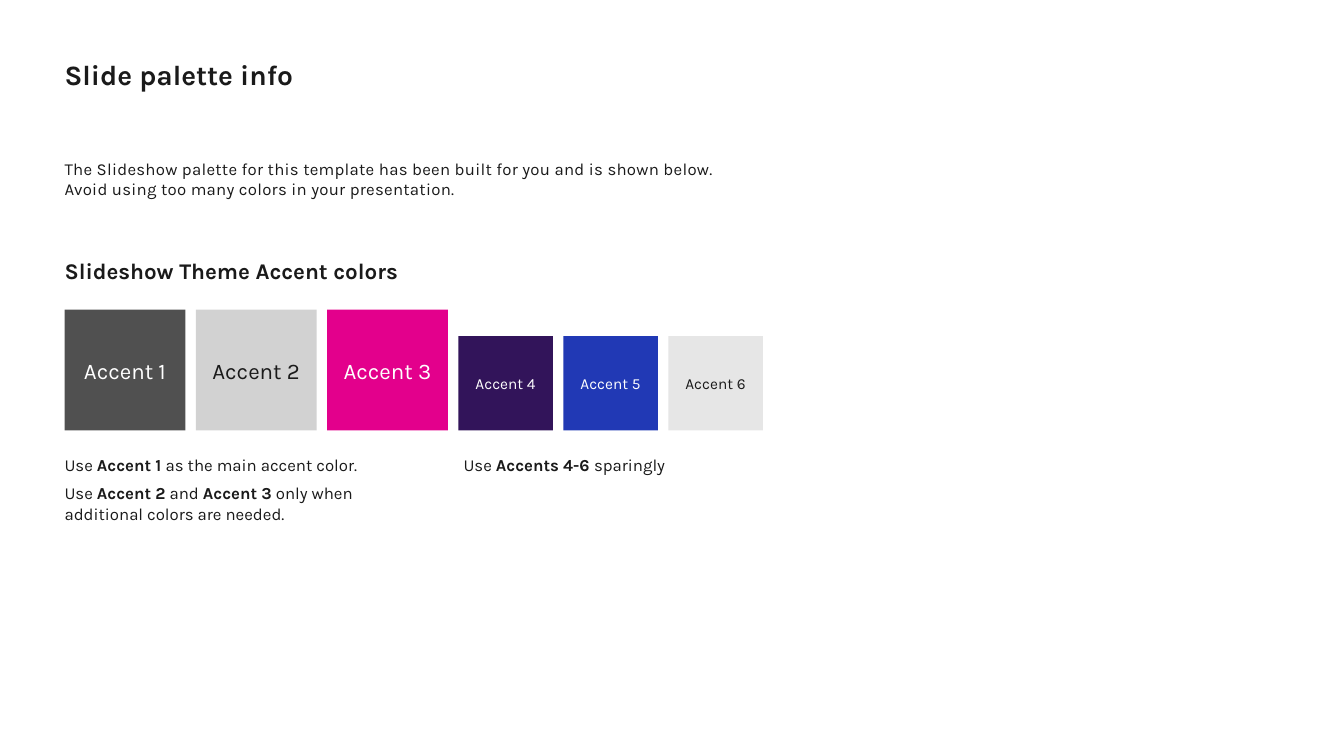
from dataclasses import dataclass

from pptx import Presentation
from pptx.dml.color import RGBColor
from pptx.enum.shapes import MSO_SHAPE
from pptx.enum.text import MSO_ANCHOR, MSO_AUTO_SIZE, PP_ALIGN
from pptx.util import Emu, Inches, Pt


@dataclass(frozen=True)
class Theme:
    """Colours, type sizes and the font of the deck."""

    font: str = "Karla"
    dark: str = "1A1A1A"
    light: str = "FFFFFF"
    accents: tuple = ("505050", "D2D2D2", "E3008C", "32145A", "2139B5", "E6E6E6")
    pale_accents: tuple = ("D2D2D2", "E6E6E6")
    title: int = 20
    heading: int = 16
    body: int = 12
    small: int = 11


class SlideBuilder:
    """Draws elements on one slide with a grid of 128 columns and 72 rows."""

    def __init__(self, presentation, theme):
        """Add a title-only slide and measure the grid."""
        self.theme = theme
        self.slide = presentation.slides.add_slide(presentation.slide_layouts[5])
        self.column = presentation.slide_width / 128
        self.row = presentation.slide_height / 72

    def box(self, left, top, width, height):
        """Turn grid columns and rows into slide lengths."""
        return (Emu(round(left * self.column)), Emu(round(top * self.row)),
                Emu(round(width * self.column)), Emu(round(height * self.row)))

    def fill_text(self, shape, lines, size, color, bold=False, align=PP_ALIGN.LEFT,
                  anchor=MSO_ANCHOR.TOP, autosize=MSO_AUTO_SIZE.SHAPE_TO_FIT_TEXT,
                  inset=(0, 0), gap=0, spacing=0):
        """Fill a shape with paragraphs whose parts between bars are bold."""
        frame = shape.text_frame
        frame_format = {"word_wrap": True, "auto_size": autosize,
                        "vertical_anchor": anchor, "margin_left": 0,
                        "margin_right": 0, "margin_top": Inches(inset[0]),
                        "margin_bottom": Inches(inset[1])}
        for name, value in frame_format.items():
            setattr(frame, name, value)
        for index, line in enumerate(lines):
            paragraph = frame.add_paragraph() if index else frame.paragraphs[0]
            paragraph.alignment = align
            paragraph.space_before = Pt(gap if index else 0)
            for part, text in enumerate(line.split("|")):
                for row, words in enumerate(text.split("\n")):
                    if row:
                        paragraph.add_line_break()
                    run = paragraph.add_run()
                    run.text = words
                    run_format = {"name": self.theme.font, "size": Pt(size),
                                  "bold": bold or part % 2 == 1}
                    for name, value in run_format.items():
                        setattr(run.font, name, value)
                    run.font.color.rgb = RGBColor.from_string(color)
                    if spacing:
                        run._r.get_or_add_rPr().set("spc", str(round(spacing * 100)))

    def title(self, text, *place):
        """Move and fill the title placeholder."""
        shape = self.slide.shapes.title
        for name, value in zip(("left", "top", "width", "height"), self.box(*place)):
            setattr(shape, name, value)
        self.fill_text(shape, [text], self.theme.title, self.theme.dark, True,
                       inset=(0.07, 0))

    def text(self, lines, place, size, **style):
        """Add a text box."""
        shape = self.slide.shapes.add_textbox(*self.box(*place))
        self.fill_text(shape, lines, size, self.theme.dark, **style)

    def swatch(self, label, fill, left, bottom, side, size):
        """Add a labelled colour square that stands on the bottom row."""
        shape = self.slide.shapes.add_shape(
            MSO_SHAPE.RECTANGLE, *self.box(left, bottom - side, side, side))
        shape.shadow.inherit = False
        shape.fill.solid()
        shape.fill.fore_color.rgb = RGBColor.from_string(fill)
        shape.line.fill.background()
        pale = fill in self.theme.pale_accents
        self.fill_text(shape, [label], size,
                       self.theme.dark if pale else self.theme.light,
                       align=PP_ALIGN.CENTER, anchor=MSO_ANCHOR.MIDDLE,
                       autosize=MSO_AUTO_SIZE.NONE, inset=(0.05, 0.05))


def main():
    """Build and save the palette slide."""
    presentation = Presentation()
    presentation.slide_width = Emu(12192000)
    presentation.slide_height = Inches(7.5)
    theme = Theme()
    builder = SlideBuilder(presentation, theme)

    margin, gap, base = 6.15, 1, 41
    builder.title("Slide palette info", margin, 4.8, 57.8, 3.9)
    builder.text(["The Slideshow palette for this template has been built for you "
                  "and is shown below.",
                  "Avoid using too many colors in your presentation."],
                 (margin, 15.1, 104.5, 3.8), theme.body, spacing=0.2)
    builder.text(["Slideshow Theme Accent colors"], (margin, 24.5, 66, 2.6),
                 theme.heading, bold=True)

    left = margin
    for number, fill in enumerate(theme.accents, 1):
        side, size = (11.5, theme.heading) if number <= 3 else (9, theme.small)
        builder.swatch(f"Accent {number}", fill, left, base, side, size)
        left += side + gap

    builder.text(["Use |Accent 1 |as the main accent color.",
                  "Use |Accent 2| and |Accent 3| only when\n"
                  "additional colors are needed."],
                 (margin, 43.3, 36.6, 6.6), theme.body, gap=6)
    builder.text(["Use |Accents 4-6 |sparingly"], (44.15, 43.3, 29.2, 1.9), theme.body)
    presentation.save("out.pptx")


main()
